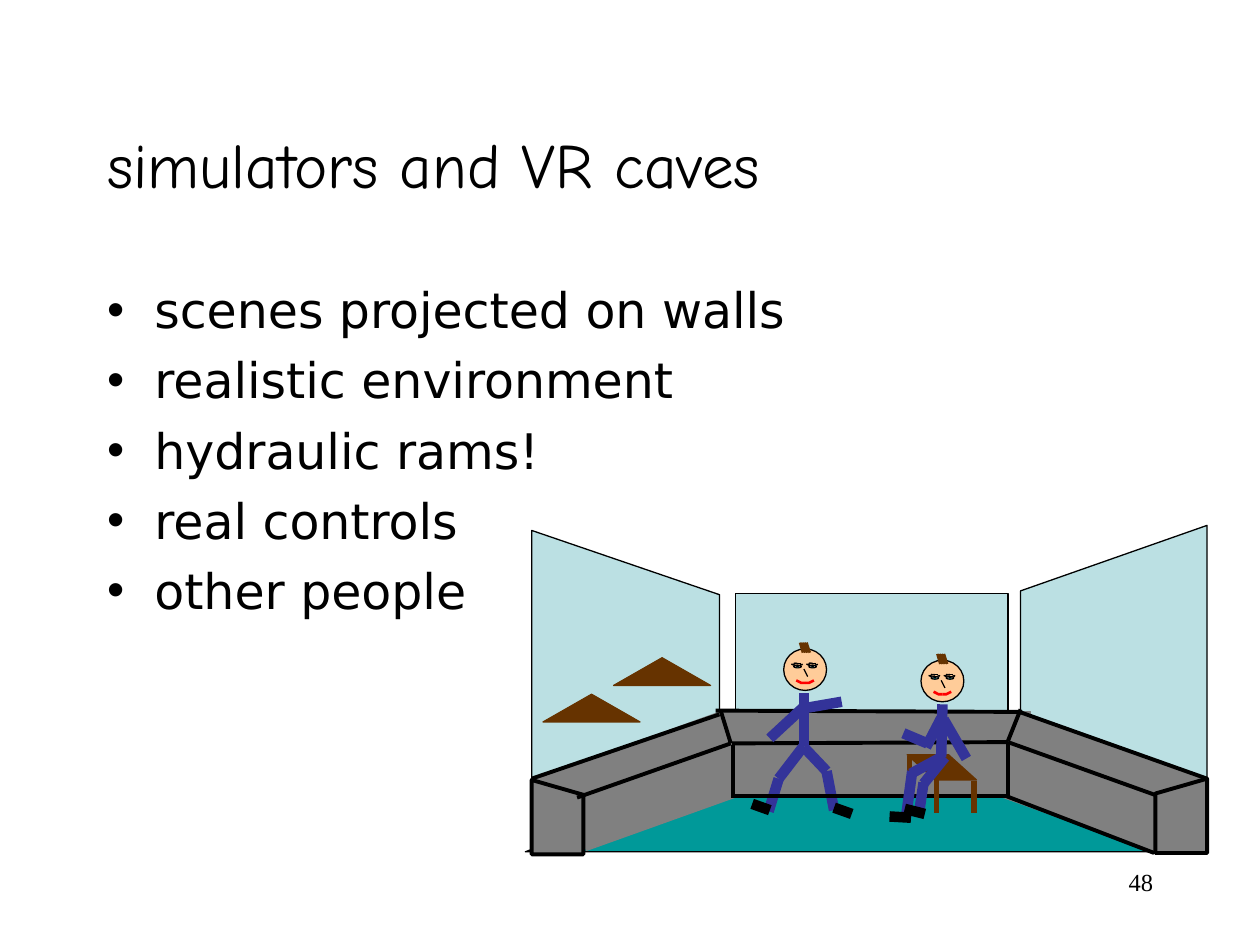
"""Build the slide on simulators and VR caves with its drawing of a cave."""
from lxml.etree import SubElement
from pptx import Presentation
from pptx.dml.color import RGBColor
from pptx.enum.shapes import MSO_CONNECTOR, MSO_SHAPE
from pptx.enum.text import MSO_ANCHOR, MSO_AUTO_SIZE, PP_ALIGN
from pptx.oxml.ns import qn
from pptx.util import Inches, Pt

BLACK = RGBColor(0x00, 0x00, 0x00)
WHITE = RGBColor(0xFF, 0xFF, 0xFF)
TEAL = RGBColor(0x00, 0x99, 0x99)
SCREEN = RGBColor(0xBB, 0xE0, 0xE3)
GREY = RGBColor(0x80, 0x80, 0x80)
SKIN = RGBColor(0xFF, 0xCC, 0x99)
RED = RGBColor(0xFF, 0x00, 0x00)
BROWN = RGBColor(0x66, 0x33, 0x00)
BLUE = RGBColor(0x33, 0x33, 0x99)

COLUMNS = 1000
ROWS = 750
THIN, HAIR, CHAIR, EDGE, LIMB = 0.75, 1.5, 3, 2.25, 6

LASHES = [
    (3, -2, 3, -1), (5, -2, 5, -1), (6, 0, 7, -1), (5, 0, 6, -1), (4, -2, 4, -1),
    (2, -2, 3, -1), (0, -2, 1, -1), (0, 0, -2, -1), (1, 0, -1, -1), (1, -2, 2, -1),
]
DESK_EDGES = [
    (458, 633, 580, 590), (422, 618, 571, 567), (572, 564, 580, 590),
    (917, 631, 800, 589), (958, 618, 809, 565), (810, 563, 800, 588),
    (568, 564, 809, 565), (581, 590, 800, 589),
]
DESK_FRONT = [
    (583, 632, 802, 632), (582, 591, 582, 633), (800, 589, 800, 631), (916, 677, 799, 632),
]
STANDING_LIMBS = [
    (638, 550, 638, 592), (611, 586, 638, 561), (668, 557, 639, 562), (638, 593, 656, 612),
    (656, 612, 662, 643), (638, 592, 618, 618), (618, 618, 610, 644),
]
STANDING_FEET = [(662, 641, 676, 646), (597, 638, 611, 643)]
SEATED_LIMBS = [
    (748, 559, 747, 601), (735, 593, 747, 570), (767, 602, 749, 571), (750, 601, 733, 622),
    (733, 621, 729, 648), (747, 601, 723, 614), (724, 612, 719, 649),
]
SEATED_FEET = [(718, 642, 734, 646), (706, 648, 723, 649)]
BULLETS = [
    "scenes projected on walls", "realistic environment", "hydraulic rams!",
    "real controls", "other people",
]


def write_text(paragraph, text, *, font, size, color=BLACK, alignment=PP_ALIGN.LEFT, before=0):
    """Write one formatted run into a paragraph."""
    paragraph.alignment = alignment
    paragraph.space_before = Pt(before)
    run = paragraph.add_run()
    run.text = text
    run.font.name = font
    run.font.size = Pt(size)
    run.font.color.rgb = color


class CaveSlide:
    """Hold the grid, the fonts and the slide being drawn."""

    title_font = "Comic Neue"
    body_font = "DejaVu Sans"
    number_font = "Times New Roman"

    def __init__(self, presentation):
        """Add a slide with an empty group for the drawing."""
        self.column = presentation.slide_width / COLUMNS
        self.row = presentation.slide_height / ROWS
        self.slide = presentation.slides.add_slide(presentation.slide_layouts[1])
        self.drawing = self.slide.shapes.add_group_shape().shapes

    def place(self, left, top, width, height):
        """Turn grid columns and rows into lengths."""
        return (round(left * self.column), round(top * self.row),
                round(width * self.column), round(height * self.row))

    def frame(self, shape, box, anchor):
        """Place a text shape and return its text frame."""
        shape.left, shape.top, shape.width, shape.height = self.place(*box)
        text_frame = shape.text_frame
        text_frame.word_wrap = True
        text_frame.auto_size = MSO_AUTO_SIZE.NONE
        text_frame.vertical_anchor = anchor
        return text_frame

    def title(self, text, box):
        """Fill the title placeholder."""
        text_frame = self.frame(self.slide.shapes.title, box, MSO_ANCHOR.MIDDLE)
        write_text(text_frame.paragraphs[0], text, font=self.title_font, size=36)

    def bullets(self, items, box):
        """Fill the body placeholder with a list."""
        text_frame = self.frame(self.slide.placeholders[1], box, MSO_ANCHOR.TOP)
        for index, item in enumerate(items):
            paragraph = text_frame.add_paragraph() if index else text_frame.paragraphs[0]
            write_text(paragraph, item, font=self.body_font, size=28, before=6.5 if index else 0)

    def number(self, text, box):
        """Add the slide number."""
        shape = self.slide.shapes.add_textbox(*self.place(*box))
        text_frame = self.frame(shape, box, MSO_ANCHOR.TOP)
        write_text(text_frame.paragraphs[0], text, font=self.number_font, size=14,
                   alignment=PP_ALIGN.RIGHT)

    def paint(self, shape, fill, line, width):
        """Set the fill and line of a shape."""
        shape.shadow.inherit = False
        if fill is None:
            shape.fill.background()
        else:
            shape.fill.solid()
            shape.fill.fore_color.rgb = fill
        shape.line.color.rgb = line
        shape.line.width = Pt(width)

    def preset(self, kind, box, fill, line=BLACK, width=THIN, rotation=0, flip=False):
        """Add a preset shape to the drawing."""
        shape = self.drawing.add_shape(kind, *self.place(*box))
        shape.rotation = rotation
        if flip:
            shape.element.spPr.get_or_add_xfrm().set("flipH", "1")
        self.paint(shape, fill, line, width)
        return shape

    def outline(self, points, fill=None, line=BLACK, width=THIN):
        """Add a freeform, closed when it has a fill."""
        builder = self.drawing.build_freeform(*points[0], scale=(self.column, self.row))
        builder.add_line_segments(points[1:], close=fill is not None)
        self.paint(builder.convert_to_shape(), fill, line, width)

    def lines(self, segments, color=BLACK, width=THIN, origin=(0, 0)):
        """Add straight lines measured from an origin."""
        left, top = origin
        for x1, y1, x2, y2 in segments:
            start = self.place(left + x1, top + y1, 0, 0)[:2]
            end = self.place(left + x2, top + y2, 0, 0)[:2]
            connector = self.drawing.add_connector(MSO_CONNECTOR.STRAIGHT, *start, *end)
            connector.line.color.rgb = color
            connector.line.width = Pt(width)
            SubElement(connector.element.spPr, qn("a:effectLst"))

    def head(self, left, top):
        """Draw a head with eyes, nose, mouth and hair."""
        oval = MSO_SHAPE.OVAL
        self.preset(oval, (left, top, 34, 33), SKIN)
        for eye in (left + 8, left + 20):
            self.preset(oval, (eye, top + 13, 6, 2), WHITE)
            self.preset(oval, (eye + 2, top + 13, 2, 2), TEAL, width=0.25)
            self.preset(oval, (eye + 2.5, top + 13, 1, 1), BLACK)
            self.lines(LASHES, origin=(eye, top + 13))
        self.lines([(16, 16, 19, 22)], origin=(left, top))
        for side in (1, -1):
            curve = [(0, 27), (3, 26.75), (5, 26.2), (7, 25)]
            self.outline([(left + 17 + side * x, top + y) for x, y in curve],
                         line=RED, width=HAIR)
        self.lines([(13 + 1.7 * hair, -5, 15.3 + 1.8 * hair, 3) for hair in range(4)],
                   BROWN, HAIR, (left, top))

    def room(self):
        """Draw the floor, the screens and the desks."""
        rectangle = MSO_SHAPE.RECTANGLE
        self.outline([(954, 676), (800, 617), (570, 617), (417, 676)], TEAL)
        self.preset(rectangle, (584, 471, 216, 104), SCREEN)
        self.outline([(958, 417), (810, 469), (810, 571), (958, 623)], SCREEN)
        self.outline([(422, 421), (571, 472), (571, 574), (422, 626)], SCREEN)
        for box, rotation in [
            ((427, 590, 157, 42), 340.3), ((453, 603, 168, 45), 340.3),
            ((799, 591, 157, 42), 19.7), ((761, 604, 168, 45), 19.7),
            ((573, 565, 245, 67), 0),
        ]:
            self.preset(rectangle, box, GREY, GREY, rotation=rotation)
        for left, top, flip in ((917, 618, False), (422, 619, True)):
            self.preset(MSO_SHAPE.FLOWCHART_MANUAL_INPUT, (left, top, 41, 59), GREY,
                        width=EDGE, flip=flip)
        self.lines(DESK_EDGES, width=EDGE)

    def standing_person(self):
        """Draw the person on foot."""
        self.head(622, 515)
        self.lines(STANDING_LIMBS, BLUE, LIMB)
        self.lines(STANDING_FEET, BLACK, LIMB)

    def seated_person(self):
        """Draw the person on the chair."""
        self.head(731, 524)
        self.lines([(722, 600, 722, 626)], BROWN, CHAIR)
        seat = self.preset(MSO_SHAPE.PARALLELOGRAM, (720, 599, 55, 20), BROWN, BROWN, flip=True)
        seat.adjustments[0] = 1.11
        self.lines(SEATED_LIMBS, BLUE, LIMB)
        self.lines(SEATED_FEET, BLACK, LIMB)
        self.lines([(717, 582, 736, 590)], BLUE, LIMB)
        self.lines([(743, 619, 743, 645), (773, 620, 773, 645)], BROWN, CHAIR)

    def mountains(self):
        """Draw the scene on the left screen."""
        for left, top in ((431, 551), (487, 522)):
            self.preset(MSO_SHAPE.ISOSCELES_TRIANGLE, (left, top, 77, 22), BROWN, BROWN)


def main():
    """Build and save the presentation."""
    presentation = Presentation()
    presentation.slide_width, presentation.slide_height = Inches(10), Inches(7.5)
    cave = CaveSlide(presentation)
    cave.title("simulators and VR caves", (75, 67, 750, 125))
    cave.bullets(BULLETS, (75, 217, 850, 342))
    cave.room()
    cave.standing_person()
    cave.lines(DESK_FRONT, width=EDGE)
    cave.seated_person()
    cave.mountains()
    cave.number("48", (717, 683, 208, 50))
    presentation.save("out.pptx")


if __name__ == "__main__":
    main()
